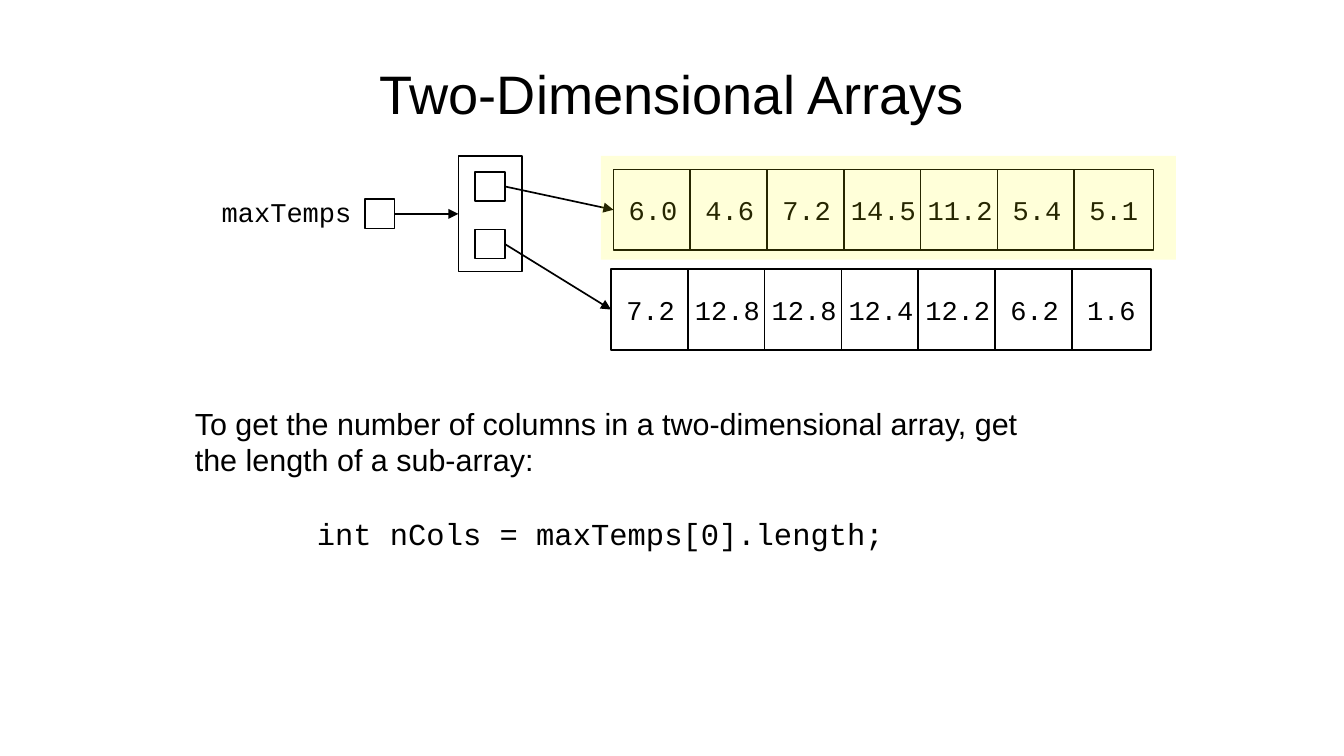
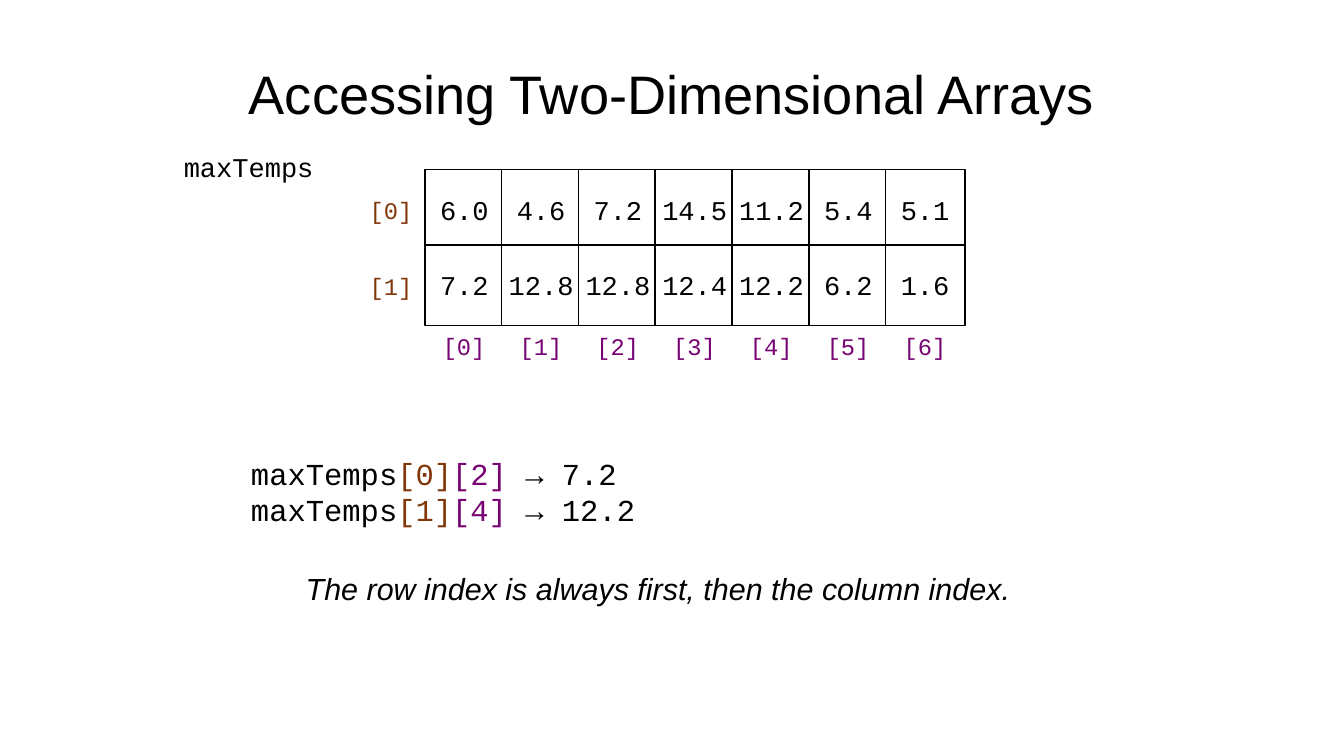
from lxml import etree
from pptx import Presentation
from pptx.dml.color import RGBColor
from pptx.enum.shapes import MSO_CONNECTOR, MSO_SHAPE
from pptx.enum.text import MSO_ANCHOR, MSO_AUTO_SIZE, PP_ALIGN
from pptx.oxml.ns import qn
from pptx.util import Cm, Pt

COLORS = {"ink": "000000", "paper": "FFFFFF", "highlight": "FFFF00",
          "row": "813709", "column": "780373"}
SANS, MONO = "Arial", "Courier New"
TEMPS = [["6.0", "4.6", "7.2", "14.5", "11.2", "5.4", "5.1"],
         ["7.2", "12.8", "12.8", "12.4", "12.2", "6.2", "1.6"]]
CELL_W, CELL_H, CELL_PITCH = 1.65, 1.68, 1.6
ROW_PITCH = 1.57
LABEL_W, LABEL_H = 1.4, 0.81
NAME_W, NAME_H = 3.3, 0.89
REF_W, REF_H = 0.62, 0.61


def rgb(name):
    return RGBColor.from_string(COLORS[name])


def style(p, size, font=MONO, color="ink", italic=False):
    for r in p.runs:
        r.font.size, r.font.name, r.font.italic = Pt(size), font, italic
        r.font.color.rgb = rgb(color)


def add_title_slide(prs, title):
    s = prs.slides.add_slide(prs.slide_layouts[5])
    sp = s.shapes.title
    sp.left, sp.top, sp.width, sp.height = Cm(1.4), Cm(0.62), Cm(25.2), Cm(2.64)
    tf = sp.text_frame
    tf.text = title
    tf.margin_left = tf.margin_top = tf.margin_right = tf.margin_bottom = 0
    tf.vertical_anchor = MSO_ANCHOR.MIDDLE
    tf.auto_size = MSO_AUTO_SIZE.NONE
    tf.paragraphs[0].alignment = PP_ALIGN.CENTER
    style(tf.paragraphs[0], 32, SANS)
    return s


def add_text(s, x, y, w, h, text="", size=16, wrap=False, **look):
    tf = s.shapes.add_textbox(Cm(x), Cm(y), Cm(w), Cm(h)).text_frame
    tf.text = text
    tf.word_wrap = wrap
    tf.auto_size = MSO_AUTO_SIZE.SHAPE_TO_FIT_TEXT
    for p in tf.paragraphs:
        style(p, size, **look)
    return tf


def add_box(s, x, y, w, h, text=""):
    sp = s.shapes.add_shape(MSO_SHAPE.RECTANGLE, Cm(x), Cm(y), Cm(w), Cm(h))
    sp.shadow.inherit = False
    sp.fill.solid()
    sp.fill.fore_color.rgb = rgb("paper")
    sp.line.color.rgb = rgb("ink")
    sp.line.width = Pt(1)
    if text:
        tf = sp.text_frame
        tf.text = text
        tf.word_wrap = False
        tf.vertical_anchor = MSO_ANCHOR.MIDDLE
        tf.paragraphs[0].alignment = PP_ALIGN.CENTER
        style(tf.paragraphs[0], 16)
    return sp


def add_row(s, x, y, values):
    """Draw one sub-array and return its first cell."""
    cells = [add_box(s, x + i * CELL_PITCH, y, CELL_W, CELL_H, value)
             for i, value in enumerate(values)]
    return cells[0]


def add_arrow(s, source, target):
    """Point from the right side of one box to the left side of another."""
    c = s.shapes.add_connector(MSO_CONNECTOR.STRAIGHT, 0, 0, 0, 0)
    c.begin_connect(source, 3)
    c.end_connect(target, 1)
    c.line.color.rgb = rgb("ink")
    c.line.width = Pt(1)
    etree.SubElement(c.line._get_or_add_ln(), qn("a:tailEnd"), type="triangle")
    etree.SubElement(c._element.spPr, qn("a:effectLst"))


def add_highlight(s, x, y, w, h):
    sp = add_box(s, x, y, w, h)
    sp.fill.fore_color.rgb = rgb("highlight")
    sp.line.fill.background()
    color = sp._element.spPr.find(".//" + qn("a:srgbClr"))
    etree.SubElement(color, qn("a:alpha"), val="15000")


def add_reference_diagram(s, x, y):
    """Draw the variable, the outer array and its two sub-arrays."""
    add_text(s, x, y + 0.69, NAME_W, NAME_H, "maxTemps")
    variable = add_box(s, x + 3.23, y + 0.9, REF_W, REF_H)
    rows = [add_row(s, x + 8.41, y + 0.28, TEMPS[0]),
            add_row(s, x + 8.36, y + 2.36, TEMPS[1])]
    outer = add_box(s, x + 5.18, y, 1.32, 2.41)
    refs = [add_box(s, x + 5.53, y + 0.33 + i * 1.2, REF_W, REF_H)
            for i in range(len(rows))]
    add_arrow(s, variable, outer)
    for ref, row in zip(refs, rows):
        add_arrow(s, ref, row)
    add_highlight(s, x + 8.15, y, 11.98, 2.16)


def add_length_note(s, x, y, w, h):
    tf = add_text(s, x, y, w, h, "To get the number of columns in a two-dimensional "
                  "array, get the length of a sub-array:", 18, True, font=SANS)
    p = tf.add_paragraph()
    p.text = "int nCols = maxTemps[0].length;"
    p._p.get_or_add_pPr().set("marL", str(Cm(2.54)))
    p.space_before = Pt(22)
    style(p, 18)


def add_indexed_grid(s, x, y):
    """Draw the rows with row indexes on the left and column indexes below."""
    for i, values in enumerate(TEMPS):
        top = y + i * ROW_PITCH
        add_row(s, x, top, values)
        add_text(s, x - LABEL_W, top + (CELL_H - LABEL_H) / 2, LABEL_W, LABEL_H,
                 f"[{i}]", 14, color="row")
    bottom = y + (len(TEMPS) - 1) * ROW_PITCH + CELL_H
    for j in range(len(TEMPS[0])):
        add_text(s, x + j * CELL_PITCH + (CELL_W - LABEL_W) / 2, bottom,
                 LABEL_W, LABEL_H, f"[{j}]", 14, color="column")


def add_access_examples(s, x, y, w, h, examples):
    tf = add_text(s, x, y, w, h)
    for n, (i, j) in enumerate(examples):
        p = tf.add_paragraph() if n else tf.paragraphs[0]
        parts = [("maxTemps", "ink"), (f"[{i}]", "row"), (f"[{j}]", "column"),
                 (f" → {TEMPS[i][j]}", "ink")]
        for text, _ in parts:
            p.add_run().text = text
        style(p, 18)
        for r, (_, color) in zip(p.runs, parts):
            r.font.color.rgb = rgb(color)


def build_length_slide(prs):
    s = add_title_slide(prs, "Two-Dimensional Arrays")
    add_reference_diagram(s, 4.37, 3.25)
    add_length_note(s, 3.81, 8.31, 18.4, 3.15)


def build_access_slide(prs):
    s = add_title_slide(prs, "Accessing Two-Dimensional Arrays")
    add_indexed_grid(s, 8.85, 3.53)
    add_access_examples(s, 4.98, 9.35, 8.51, 1.7, [(0, 2), (1, 4)])
    add_text(s, 3.58, 3.02, NAME_W, NAME_H, "maxTemps")
    add_text(s, 6.12, 11.76, 15.19, 0.97,
             "The row index is always first, then the column index.",
             18, font=SANS, italic=True)


def main():
    prs = Presentation()
    prs.slide_width, prs.slide_height = Cm(28), Cm(15.75)
    build_length_slide(prs)
    build_access_slide(prs)
    prs.save("out.pptx")


if __name__ == "__main__":
    main()
